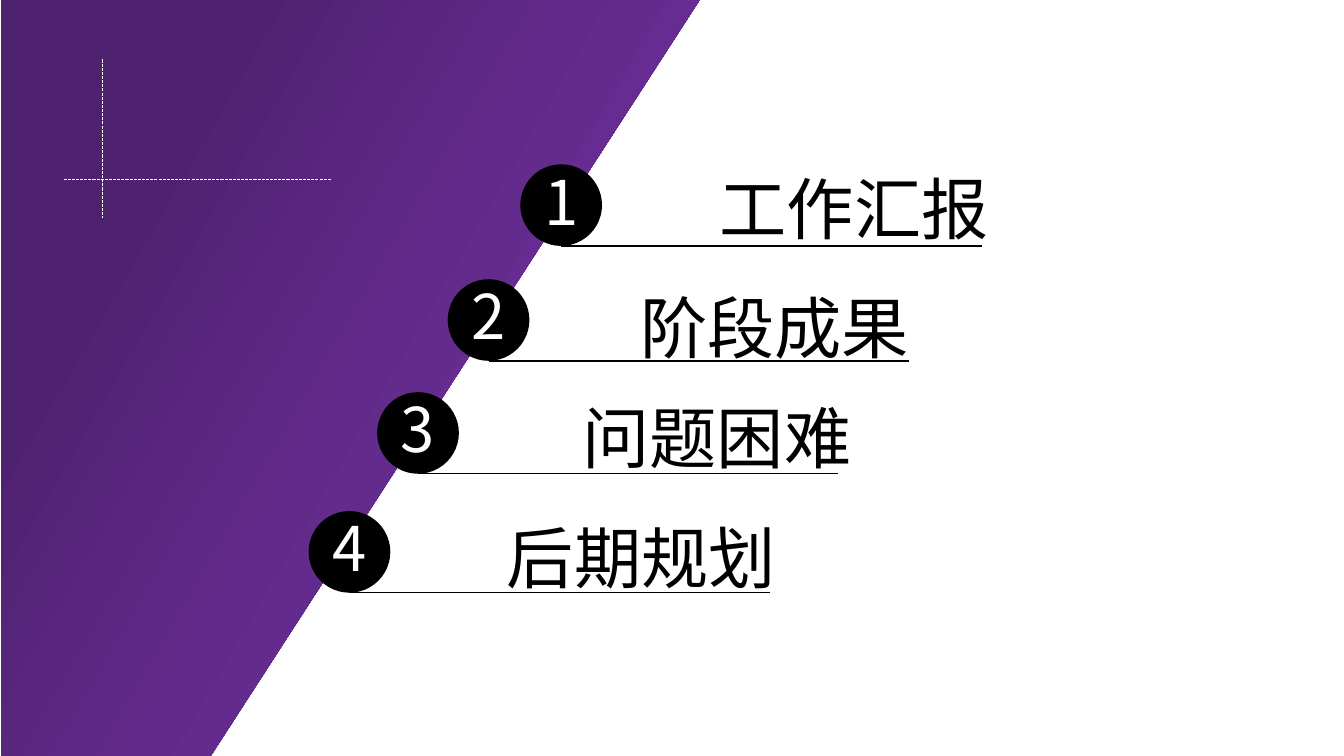
from copy import deepcopy
from dataclasses import dataclass

from lxml import etree
from pptx import Presentation
from pptx.dml.color import RGBColor
from pptx.enum.dml import MSO_LINE
from pptx.enum.shapes import MSO_CONNECTOR, MSO_SHAPE
from pptx.enum.text import MSO_ANCHOR, PP_ALIGN
from pptx.oxml.ns import qn
from pptx.shapes.connector import Connector
from pptx.slide import Slide
from pptx.util import Inches, Pt

OVAL = MSO_SHAPE.OVAL
STRAIGHT = MSO_CONNECTOR.STRAIGHT
FINE_DASH = MSO_LINE.SQUARE_DOT
MIDDLE = MSO_ANCHOR.MIDDLE
CENTER = PP_ALIGN.CENTER

BLACK = RGBColor(0x00, 0x00, 0x00)
WHITE = RGBColor(0xFF, 0xFF, 0xFF)
DEEP_PURPLE = RGBColor(0x4F, 0x22, 0x70)
MID_PURPLE = RGBColor(0x61, 0x2A, 0x8A)
BRIGHT_PURPLE = RGBColor(0x70, 0x30, 0xA0)
SLATE = RGBColor(0x28, 0x28, 0x32)
DARK_SLATE = RGBColor(0x1E, 0x25, 0x2D)
PANEL_GRADIENT = (
    (0.23, DEEP_PURPLE),
    (0.51, MID_PURPLE),
    (0.79, BRIGHT_PURPLE),
    (1, SLATE),
    (1, DARK_SLATE),
)

SLIDE_WIDTH = Inches(13.33)
SLIDE_HEIGHT = Inches(7.5)
BADGE_WIDTH = 6.08
BADGE_HEIGHT = 10.8
RULE_LENGTH = 31.28
TOPIC_WIDTH = 23.03

Point = tuple[float, float]


@dataclass(frozen=True)
class AgendaItem:
    topic: str
    badge: Point
    topic_at: Point
    topic_height: float


AGENDA = (
    AgendaItem("工作汇报", (38.71, 21.73), (52.81, 21.47), 12.53),
    AgendaItem("阶段成果", (33.31, 36.93), (46.89, 37.2), 10.8),
    AgendaItem("问题困难", (28.06, 51.87), (42.61, 51.73), 10.67),
    AgendaItem("后期规划", (22.96, 67.6), (36.98, 67.6), 12.93),
)
CROSSHAIR = (
    ((4.73, 23.73), (24.68, 23.73)),
    ((7.65, 7.87), (7.65, 28.8)),
)


def across(percent: float) -> int:
    return round(SLIDE_WIDTH * percent / 100)


def down(percent: float) -> int:
    return round(SLIDE_HEIGHT * percent / 100)


def draw_panel(slide: Slide) -> None:
    left, top_right, bottom_right = across(0.08), across(52.06), across(15.68)
    outline = slide.shapes.build_freeform(left, 0)
    outline.add_line_segments(
        [(top_right, 0), (bottom_right, SLIDE_HEIGHT), (left, SLIDE_HEIGHT)]
    )
    panel = outline.convert_to_shape()
    panel.shadow.inherit = False
    panel.line.fill.background()
    panel.fill.gradient()
    panel.fill.gradient_angle = 330
    stop_list = panel._element.spPr.find(f".//{qn('a:gsLst')}")
    while len(stop_list) < len(PANEL_GRADIENT):
        stop_list.append(deepcopy(stop_list[0]))
    for stop, (position, color) in zip(panel.fill.gradient_stops, PANEL_GRADIENT):
        stop.position = position
        stop.color.rgb = color


def draw_rule(
    slide: Slide, start: Point, end: Point, color: RGBColor, width: float
) -> Connector:
    rule = slide.shapes.add_connector(
        STRAIGHT, across(start[0]), down(start[1]), across(end[0]), down(end[1])
    )
    rule.line.color.rgb = color
    rule.line.width = Pt(width)
    etree.SubElement(rule._element.spPr, qn("a:effectLst"))
    return rule


def draw_badge(slide: Slide, number: int, item: AgendaItem) -> None:
    left, top = item.badge
    badge = slide.shapes.add_shape(
        OVAL, across(left), down(top), across(BADGE_WIDTH), down(BADGE_HEIGHT)
    )
    badge.shadow.inherit = False
    badge.fill.solid()
    badge.fill.fore_color.rgb = BLACK
    badge.line.fill.background()
    frame = badge.text_frame
    frame.margin_left = frame.margin_right = 0
    frame.margin_top = frame.margin_bottom = 0
    frame.vertical_anchor = MIDDLE
    numeral = frame.paragraphs[0]
    numeral.text = str(number)
    numeral.alignment = CENTER
    numeral.line_spacing = 0.9
    numeral.font.name = "Noto Sans CJK SC"
    numeral.font.size = Pt(44)
    numeral.font.color.rgb = WHITE


def draw_topic(slide: Slide, item: AgendaItem) -> None:
    left, top = item.topic_at
    frame = slide.shapes.add_textbox(
        across(left), down(top), across(TOPIC_WIDTH), down(item.topic_height)
    ).text_frame
    frame.word_wrap = True
    topic = frame.paragraphs[0]
    topic.text = item.topic
    topic.font.name = "Arial"
    topic.font.size = Pt(48)
    topic.font.color.rgb = BLACK


def draw_agenda_item(slide: Slide, number: int, item: AgendaItem) -> None:
    draw_badge(slide, number, item)
    draw_topic(slide, item)
    rule_left = item.badge[0] + BADGE_WIDTH / 2
    rule_top = item.badge[1] + BADGE_HEIGHT
    draw_rule(
        slide, (rule_left, rule_top), (rule_left + RULE_LENGTH, rule_top), BLACK, 1
    )


def main() -> None:
    deck = Presentation()
    deck.slide_width = SLIDE_WIDTH
    deck.slide_height = SLIDE_HEIGHT
    slide = deck.slides.add_slide(deck.slide_layouts[6])
    draw_panel(slide)
    for start, end in CROSSHAIR:
        draw_rule(slide, start, end, WHITE, 0.75).line.dash_style = FINE_DASH
    for number, item in enumerate(AGENDA, start=1):
        draw_agenda_item(slide, number, item)
    deck.save("out.pptx")


if __name__ == "__main__":
    main()
